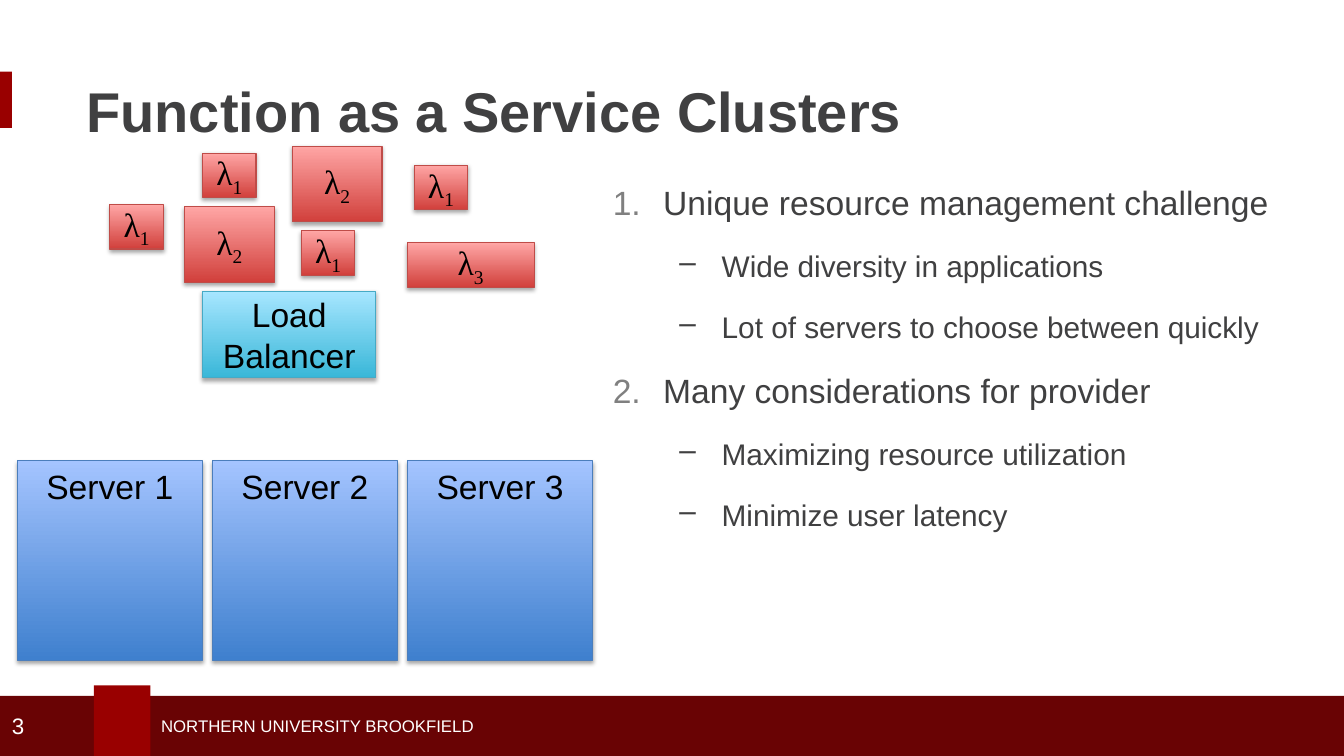
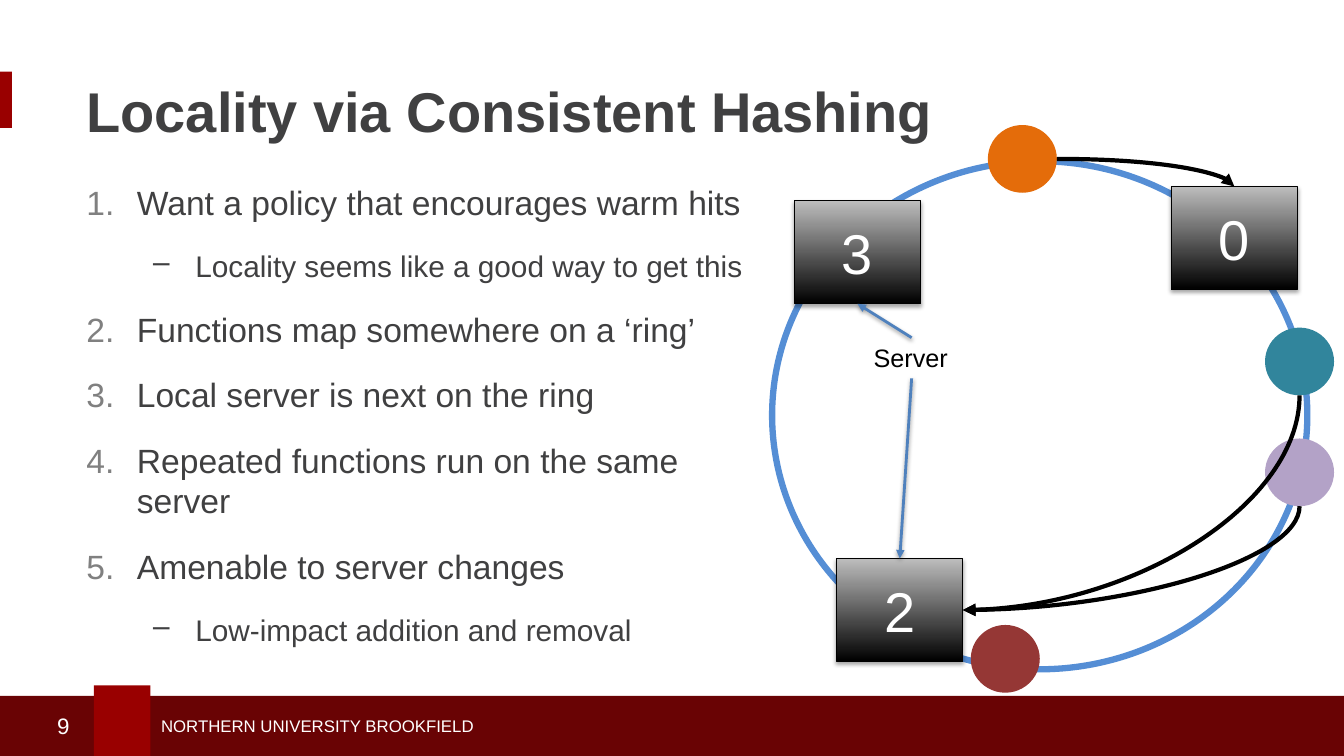
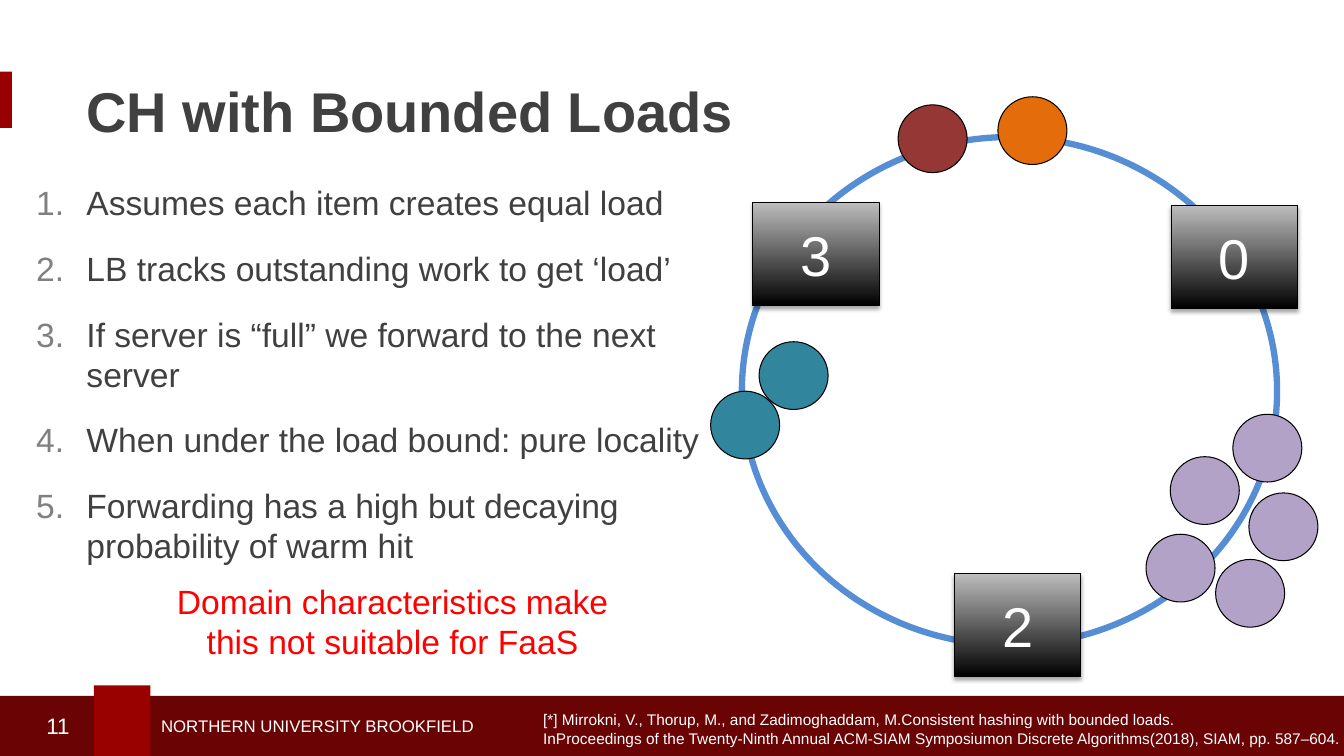
from lxml import etree
from pptx import Presentation
from pptx.dml.color import RGBColor
from pptx.enum.shapes import MSO_CONNECTOR, MSO_SHAPE
from pptx.enum.text import MSO_ANCHOR, PP_ALIGN
from pptx.oxml.ns import qn
from pptx.util import Pt

RECT, OVAL = MSO_SHAPE.RECTANGLE, MSO_SHAPE.OVAL
STRAIGHT, CURVE = MSO_CONNECTOR.STRAIGHT, MSO_CONNECTOR.CURVE
LEFT, CENTER, RIGHT = PP_ALIGN.LEFT, PP_ALIGN.CENTER, PP_ALIGN.RIGHT
TOP, MIDDLE = MSO_ANCHOR.TOP, MSO_ANCHOR.MIDDLE

CRIMSON, MAROON = "990000", "690304"
BLACK, WHITE, RED = "000000", "FFFFFF", "FF0000"
INK, NUMBER_GRAY = "404041", "808080"
RING_BLUE, ARROW_BLUE = "558ED5", "4F81BD"
ORANGE, TEAL, BRICK, LILAC = "E46C0A", "31859C", "953735", "B3A2C7"

# Top colour, bottom colour, outline
CYAN_STYLE = ("A7E6FF", "39B7D8", "46AAC5")
BLUE_STYLE = ("A4C4FF", "3F80CE", "4B7EBC")
RED_STYLE = ("FFA6A5", "D1403C", "BF4C48")
DARK_STYLE = ("BDBDBD", "000000", "000000")

SIDES = ("top", "left", "bottom", "right")


def rgb(color):
    return RGBColor.from_string(color)


def add_xml(parent, tag, **attributes):
    child = etree.SubElement(parent, qn(tag))
    for name, value in attributes.items():
        child.set(name, str(value))
    return child


def add_shadow(effects, opacity, distance):
    shadow = add_xml(effects, "a:outerShdw", blurRad=Pt(3.1), dist=Pt(distance),
                     dir=5400000, rotWithShape=0)
    color = add_xml(shadow, "a:srgbClr", val=BLACK)
    add_xml(color, "a:alpha", val=opacity * 1000)


def anchor_point(shape, side):
    x = {"left": 0, "right": shape.width}.get(side, shape.width // 2)
    y = {"top": 0, "bottom": shape.height}.get(side, shape.height // 2)
    return shape.left + x, shape.top + y


class Deck:
    font = "Arial"
    footer = "NORTHERN UNIVERSITY BROOKFIELD"

    def __init__(self):
        self.file = Presentation()
        self.file.slide_width, self.file.slide_height = Pt(960), Pt(540)
        self.page = None

    # Slide frame
    def add_page(self, title, number, number_align=RIGHT):
        self.page = self.file.slides.add_slide(self.file.slide_layouts[6])
        self.shape(RECT, 0, 497, 960, 43, fill=MAROON)
        self.shape(RECT, 67, 489.6, 40.5, 50.4, fill=CRIMSON)
        self.shape(RECT, 0, 51.1, 8.6, 40.3, fill=CRIMSON)
        self.text(108, 507.6, 379.4, 21.6, [self.footer], 12, WHITE, anchor=MIDDLE)
        self.text(54.7, 41.8, 840.2, 73.4, [title], 40, INK, bold=True, anchor=MIDDLE)
        self.text(1.4, 504, 55.4, 28.8, [number], 16, WHITE, number_align, MIDDLE)

    # Text
    def style(self, para, size, color, align=LEFT, bold=False, font=None):
        para.alignment = align
        para.font.name = font or self.font
        para.font.size, para.font.bold = Pt(size), bold
        para.font.color.rgb = rgb(color)

    def text(self, x, y, width, height, lines, size, color, align=LEFT,
             anchor=TOP, bold=False, wrap=True):
        box = self.page.shapes.add_textbox(Pt(x), Pt(y), Pt(width), Pt(height))
        frame = box.text_frame
        frame.word_wrap, frame.vertical_anchor = wrap, anchor
        frame.text = "\n".join(lines)
        for para in frame.paragraphs:
            self.style(para, size, color, align, bold)
        return box

    def outline(self, x, width, items):
        """Numbered items as (text, level); level 1 takes a dash."""
        box = self.text(x, 126.7, width, 339.8, [item for item, _ in items], 24, INK)
        for para, (_, level) in zip(box.text_frame.paragraphs, items):
            para.level = level
            para.space_after = Pt(18)
            para.font.size = Pt(21.3 if level else 24)
            properties = para.font._element.getparent()
            defaults = properties.find(qn("a:defRPr"))
            properties.remove(defaults)
            properties.set("marL", str(Pt(77.8 if level else 36)))
            properties.set("indent", str(Pt(-30.2 if level else -36)))
            if level:
                add_xml(properties, "a:buChar", char="–")
            else:
                add_xml(add_xml(properties, "a:buClr"), "a:srgbClr", val=NUMBER_GRAY)
                add_xml(properties, "a:buAutoNum", type="arabicPeriod")
            properties.append(defaults)

    # Shapes
    def shape(self, kind, x, y, width, height, fill=None, line=None, weight=0.75):
        shape = self.page.shapes.add_shape(kind, Pt(x), Pt(y), Pt(width), Pt(height))
        shape.shadow.inherit = False
        if fill:
            shape.fill.solid()
            shape.fill.fore_color.rgb = rgb(fill)
        else:
            shape.fill.background()
        if line:
            shape.line.color.rgb = rgb(line)
            shape.line.width = Pt(weight)
        else:
            shape.line.fill.background()
        return shape

    def block(self, x, y, width, height, colors, label, size=24, color=BLACK,
              anchor=MIDDLE, font=None, subscript=None):
        upper, lower, line = colors
        block = self.shape(RECT, x, y, width, height, line=line)
        block.fill.gradient()
        block.fill.gradient_angle = 90
        for stop, stop_color in zip(block.fill.gradient_stops, (lower, upper)):
            stop.color.rgb = rgb(stop_color)
        add_shadow(block.element.spPr.find(qn("a:effectLst")), 35, 1.8)
        block.text_frame.vertical_anchor = anchor
        para = block.text_frame.paragraphs[0]
        para.add_run().text = label
        if subscript:
            span = para.add_run()
            span.text = subscript
            span.font._element.set("baseline", "-25000")
        self.style(para, size, color, CENTER, font=font)
        return block

    def function(self, x, y, width, height, index):
        self.block(x, y, width, height, RED_STYLE, "λ",
                   font="Times New Roman", subscript=index)

    def ring(self, x, y):
        self.shape(OVAL, x, y, 382.3, 362.9, line=RING_BLUE, weight=4.5)

    def node(self, x, y, label):
        return self.block(x, y, 90.2, 73.7, DARK_STYLE, label, 40, WHITE)

    def dot(self, x, y, color, line=None):
        return self.shape(OVAL, x, y, 49.3, 48.4, fill=color, line=line)

    # Arrows
    def arrow(self, start, start_side, end, end_side, color, weight, curved=False):
        x1, y1 = anchor_point(start, start_side)
        x2, y2 = anchor_point(end, end_side)
        turned = curved and start_side == "bottom"
        if turned:
            # A quarter turn about the centre makes the curve leave downwards
            middle_x, middle_y = (x1 + x2) // 2, (y1 + y2) // 2
            half_width, half_height = abs(y2 - y1) // 2, abs(x2 - x1) // 2
            x1, x2 = middle_x - half_width, middle_x + half_width
            y1, y2 = middle_y - half_height, middle_y + half_height
        arrow = self.page.shapes.add_connector(CURVE if curved else STRAIGHT,
                                               x1, y1, x2, y2)
        arrow.line.color.rgb = rgb(color)
        arrow.line.width = Pt(weight)
        properties = arrow.element.spPr
        add_xml(properties.find(qn("a:ln")), "a:tailEnd", type="triangle")
        effects = add_xml(properties, "a:effectLst")
        if curved:
            properties.find(qn("a:prstGeom")).set("prst", "curvedConnector2")
        else:
            add_shadow(effects, 38, 1.6)
        if turned:
            properties.find(qn("a:xfrm")).set("rot", "5400000")
        # Ovals have eight connection sites, boxes four
        links = next(arrow.element.iter(qn("p:cNvCxnSpPr")))
        for tag, shape, side in (("a:stCxn", start, start_side),
                                 ("a:endCxn", end, end_side)):
            geometry = shape.element.spPr.find(qn("a:prstGeom")).get("prst")
            step = 2 if geometry == "ellipse" else 1
            add_xml(links, tag, id=shape.shape_id, idx=SIDES.index(side) * step)


def clusters_page(deck):
    deck.add_page("Function as a Service Clusters", "3", LEFT)
    deck.block(144.7, 208.1, 123.8, 61.9, CYAN_STYLE, "Load Balancer")
    for i in range(3):
        deck.block(12.2 + 139.4 * i, 329, 132.5, 142.6, BLUE_STYLE,
                   f"Server {i + 1}", anchor=TOP)
    for x, y in ((78.5, 146.2), (144.7, 109.4), (215.3, 164.9), (295.9, 118.1)):
        deck.function(x, y, 38.2, 31.7, "1")
    for x, y in ((208.8, 104.4), (131.8, 147.6)):
        deck.function(x, y, 64.1, 54, "2")
    deck.function(290.9, 173.5, 90.7, 31.7, "3")
    deck.outline(430.6, 496.1, [
        ("Unique resource management challenge", 0),
        ("Wide diversity in applications", 1),
        ("Lot of servers to choose between quickly", 1),
        ("Many considerations for provider", 0),
        ("Maximizing resource utilization", 1),
        ("Minimize user latency", 1),
    ])


def hashing_page(deck):
    deck.add_page("Locality via Consistent Hashing", "9")
    deck.outline(54.7, 492.5, [
        ("Want a policy that encourages warm hits", 0),
        ("Locality seems like a good way to get this", 1),
        ("Functions map somewhere on a ‘ring’", 0),
        ("Local server is next on the ring", 0),
        ("Repeated functions run on the same server", 0),
        ("Amenable to server changes", 0),
        ("Low-impact addition and removal", 1),
    ])
    # Ring and servers
    deck.ring(551.5, 115.2)
    node_3 = deck.node(567.4, 143.3, "3")
    node_0 = deck.node(836.6, 133.2, "0")
    node_2 = deck.node(597.6, 398.9, "2")
    caption = deck.text(617, 241.2, 68.4, 29.1, ["Server"], 18, BLACK, wrap=False)
    deck.arrow(caption, "top", node_3, "bottom", ARROW_BLUE, 2)
    deck.arrow(caption, "bottom", node_2, "top", ARROW_BLUE, 2)
    # Functions and the servers they map to
    orange = deck.dot(705.6, 89.3, ORANGE)
    teal = deck.dot(903.6, 234, TEAL)
    deck.dot(693.4, 446.4, BRICK)
    lilac = deck.dot(903.6, 313.2, LILAC)
    deck.arrow(orange, "right", node_0, "top", BLACK, 3, curved=True)
    for dot in (teal, lilac):
        deck.arrow(dot, "bottom", node_2, "right", BLACK, 3, curved=True)


def bounded_loads_page(deck):
    deck.add_page("CH with Bounded Loads", "11")
    deck.outline(18.7, 523.4, [
        ("Assumes each item creates equal load", 0),
        ("LB tracks outstanding work to get ‘load’", 0),
        ("If server is “full” we forward to the next server", 0),
        ("When under the load bound: pure locality", 0),
        ("Forwarding has a high but decaying probability of warm hit", 0),
    ])
    # Ring, servers and functions
    deck.ring(529.9, 97.9)
    for x, y, label in ((537.8, 144.7, "3"), (836.6, 146.9, "0"), (681.8, 409.7, "2")):
        deck.node(x, y, label)
    dots = {
        ORANGE: [(712.8, 69.1)],
        BRICK: [(641.5, 74.9)],
        TEAL: [(507.6, 279.4), (542.2, 244.1)],
        LILAC: [(880.6, 295.9), (835.9, 326.2), (892.1, 352.1),
                (818.6, 381.6), (868.3, 399.6)],
    }
    for color, places in dots.items():
        for x, y in places:
            deck.dot(x, y, color, BLACK)
    # Source and conclusion
    deck.text(380.9, 504, 589.7, 33.8, [
        "[*] Mirrokni, V., Thorup, M., and Zadimoghaddam, M.Consistent hashing "
        "with bounded loads.",
        "InProceedings of the Twenty-Ninth Annual ACM-SIAM Symposiumon Discrete "
        "Algorithms(2018), SIAM, pp. 587–604.",
    ], 11, WHITE, wrap=False)
    deck.text(112.3, 411.1, 336.2, 65.5,
              ["Domain characteristics make this not suitable for FaaS"],
              24, RED, CENTER)


def main():
    deck = Deck()
    clusters_page(deck)
    hashing_page(deck)
    bounded_loads_page(deck)
    deck.file.save("out.pptx")


if __name__ == "__main__":
    main()
